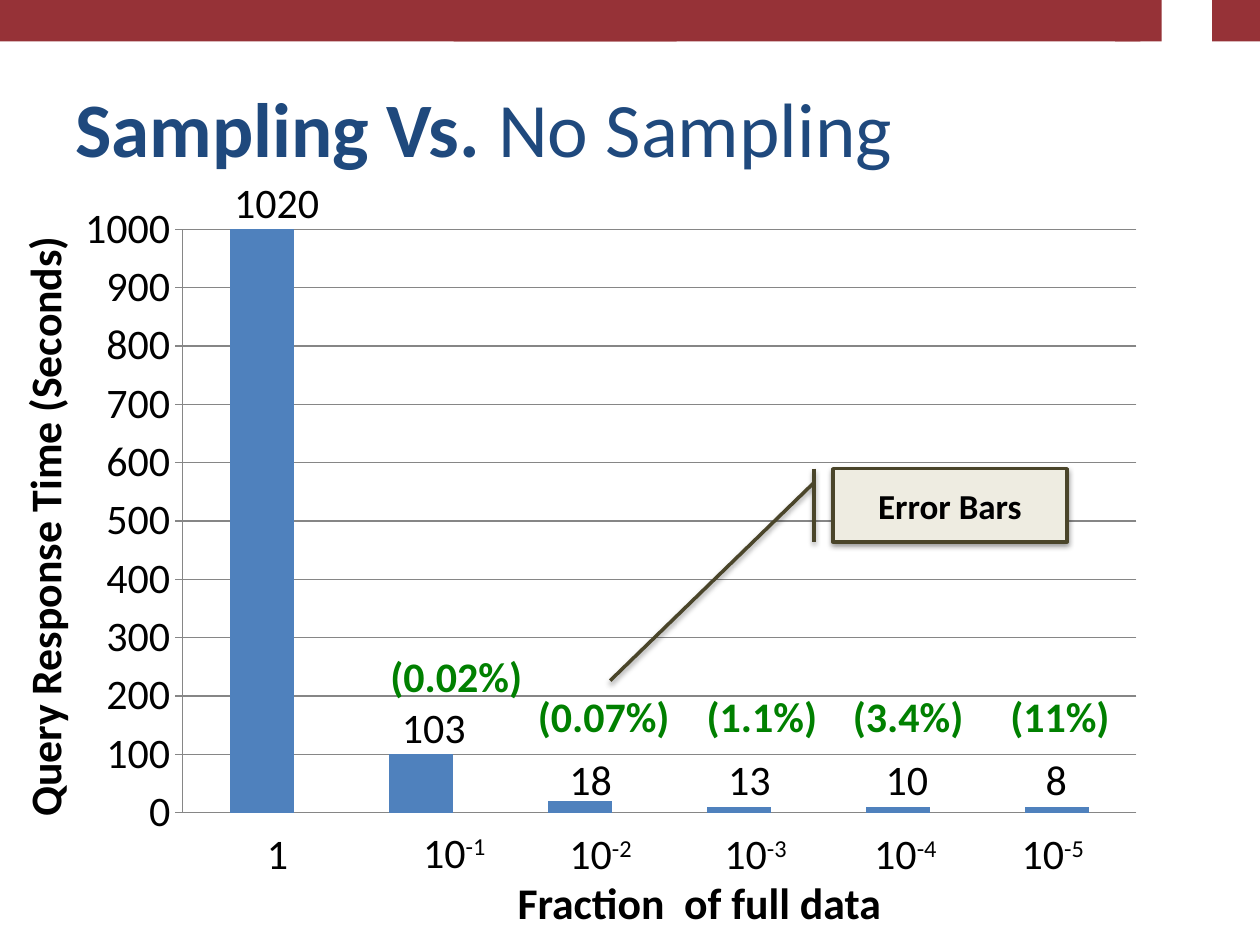
from lxml import etree
from pptx import Presentation
from pptx.chart.data import CategoryChartData
from pptx.dml.color import RGBColor
from pptx.enum.chart import XL_CHART_TYPE, XL_TICK_LABEL_POSITION, XL_TICK_MARK
from pptx.enum.shapes import MSO_SHAPE
from pptx.enum.text import MSO_ANCHOR, MSO_AUTO_SIZE, PP_ALIGN
from pptx.oxml import parse_xml
from pptx.oxml.ns import nsdecls, qn
from pptx.util import Pt

PX = 9144  # EMU per px, 100 px to the inch
FONT = "Calibri"

RED = RGBColor(0x96, 0x32, 0x37)
NAVY = RGBColor(0x1F, 0x49, 0x7D)
BLUE = RGBColor(0x4F, 0x81, 0xBD)
GREEN = RGBColor(0x00, 0x80, 0x00)
GREY = RGBColor(0x86, 0x86, 0x86)
OLIVE = RGBColor(0x4A, 0x45, 0x2A)
CREAM = RGBColor(0xEE, 0xEC, 0xE1)
BLACK = RGBColor(0x00, 0x00, 0x00)

COLUMN_STACKED = XL_CHART_TYPE.COLUMN_STACKED
TICK_OUTSIDE = XL_TICK_MARK.OUTSIDE
TICK_NONE = XL_TICK_MARK.NONE
NO_LABELS = XL_TICK_LABEL_POSITION.NONE
RECTANGLE = MSO_SHAPE.RECTANGLE
CALLOUT = MSO_SHAPE.LINE_CALLOUT_1_BORDER_AND_ACCENT_BAR
BOTTOM, MIDDLE, TOP = MSO_ANCHOR.BOTTOM, MSO_ANCHOR.MIDDLE, MSO_ANCHOR.TOP
LEFT, CENTER = PP_ALIGN.LEFT, PP_ALIGN.CENTER
FIT_TEXT = MSO_AUTO_SIZE.SHAPE_TO_FIT_TEXT

# Left and width of the pieces of the top band
BAND_PIECES = [(0, 537), (360, 545), (885, 37), (962, 38)]

RESPONSE_TIMES = [1020, 100, 20, 10, 10, 10]
CHART_BOX = (51, 152, 869, 525)
PLOT_BOX = (145, 182, 757, 463)

# Text, left, top, width of the labels around the columns
TIME_LABELS = [("1020", 176, 135, 88), ("103", 309, 552, 71),
               ("18", 442, 593, 54), ("13", 568, 593, 54),
               ("10", 693, 593, 54), ("8", 820, 593, 37)]
ERROR_LABELS = [("(0.02%)", 300, 511, 126), ("(0.07%)", 417, 543, 126),
                ("(1.1%)", 551, 543, 109), ("(3.4%)", 667, 543, 109),
                ("(11%)", 792, 543, 100)]
# Left and top of the powers of ten
FRACTION_LABELS = [(326, 651), (442, 652), (565, 652), (684, 652), (801, 652)]


def px(*lengths):
    return [length * PX for length in lengths]


def add_run(paragraph, text, size, color=BLACK, bold=False, superscript=False):
    run = paragraph.add_run()
    run.text = text
    run.font.name = FONT
    run.font.size = Pt(size)
    run.font.bold = bold
    run.font.color.rgb = color
    if superscript:
        run._r.get_or_add_rPr().set("baseline", "30000")


def add_text(slide, box, align=LEFT, anchor=TOP, wrap=False):
    """Add an empty text box and return it with its paragraph."""
    shape = slide.shapes.add_textbox(*px(*box))
    frame = shape.text_frame
    frame.word_wrap = wrap
    frame.vertical_anchor = anchor
    if anchor == TOP:
        frame.auto_size = FIT_TEXT
    paragraph = frame.paragraphs[0]
    paragraph.alignment = align
    return shape, paragraph


def add_label(slide, text, box, size=24, color=BLACK, bold=False, **layout):
    shape, paragraph = add_text(slide, box, **layout)
    add_run(paragraph, text, size, color, bold)
    return shape


def add_power_label(slide, exponent, box):
    paragraph = add_text(slide, box)[1]
    add_run(paragraph, "10", 24)
    add_run(paragraph, exponent, 24, superscript=True)


def add_block(slide, box, color):
    shape = slide.shapes.add_shape(RECTANGLE, *px(*box))
    shape.shadow.inherit = False
    shape.fill.solid()
    shape.fill.fore_color.rgb = color
    shape.line.fill.background()


def set_plot_layout(chart):
    """Place the inner plot area by its shares of the chart frame."""
    chart_left, chart_top, chart_width, chart_height = CHART_BOX
    left, top, width, height = PLOT_BOX
    settings = {"layoutTarget": "inner", "xMode": "edge", "yMode": "edge",
                "x": (left - chart_left) / chart_width,
                "y": (top - chart_top) / chart_height,
                "w": width / chart_width, "h": height / chart_height}
    plot_area = chart._chartSpace.chart.plotArea
    for old_layout in plot_area.findall(qn("c:layout")):
        plot_area.remove(old_layout)
    layout = etree.Element(qn("c:layout"))
    manual = etree.SubElement(layout, qn("c:manualLayout"))
    for name, value in settings.items():
        etree.SubElement(manual, qn(f"c:{name}")).set("val", str(value))
    plot_area.insert(0, layout)


def add_time_chart(slide):
    data = CategoryChartData()
    data.categories = [str(n) for n in range(1, len(RESPONSE_TIMES) + 1)]
    data.add_series("Series 1", RESPONSE_TIMES)
    chart = slide.shapes.add_chart(COLUMN_STACKED, *px(*CHART_BOX), data).chart
    chart.has_legend = False
    chart.has_title = False
    chart.font.name = FONT
    chart.font.size = Pt(10)
    chart.font.color.rgb = BLACK
    set_plot_layout(chart)

    # Columns
    plot = chart.plots[0]
    plot.gap_width = 150
    plot.overlap = 100
    plot.vary_by_categories = False
    fill = plot.series[0].format.fill
    fill.solid()
    fill.fore_color.rgb = BLUE

    # Axes
    category_axis = chart.category_axis
    category_axis.visible = False
    category_axis.tick_label_position = NO_LABELS
    category_axis.major_tick_mark = TICK_NONE
    value_axis = chart.value_axis
    value_axis.minimum_scale = 0
    value_axis.maximum_scale = 1000
    value_axis.major_unit = 100
    value_axis.major_tick_mark = TICK_OUTSIDE
    value_axis.has_major_gridlines = True
    value_axis.tick_labels.font.size = Pt(24)
    value_axis.tick_labels.font.name = FONT
    value_axis.tick_labels.font.color.rgb = BLACK
    for line in (value_axis.format.line, value_axis.major_gridlines.format.line):
        line.color.rgb = GREY
        line.width = Pt(0.75)


def add_callout(slide, text, box):
    shape = slide.shapes.add_shape(CALLOUT, *px(*box))
    for index, value in enumerate((0.19, -0.08, 2.9, -0.95)):
        shape.adjustments[index] = value
    shape.fill.solid()
    shape.fill.fore_color.rgb = CREAM
    shape.line.color.rgb = OLIVE
    shape.line.width = Pt(2)
    shape._element.spPr.append(parse_xml(
        f'<a:effectLst {nsdecls("a")}>'
        '<a:outerShdw blurRad="40000" dist="20000" dir="5400000" rotWithShape="0">'
        '<a:srgbClr val="000000"><a:alpha val="38000"/></a:srgbClr>'
        '</a:outerShdw></a:effectLst>'))
    shape.text_frame.vertical_anchor = MIDDLE
    paragraph = shape.text_frame.paragraphs[0]
    paragraph.alignment = CENTER
    add_run(paragraph, text, 20, bold=True)


def main():
    presentation = Presentation()
    presentation.slide_width, presentation.slide_height = px(1000, 750)
    slide = presentation.slides.add_slide(presentation.slide_layouts[6])

    # Top band, open at the emblem's place
    for left, width in BAND_PIECES:
        add_block(slide, (left, 0, width, 33), RED)

    # Title
    title = add_text(slide, (50, 17, 900, 125), anchor=BOTTOM, wrap=True)[1]
    add_run(title, "Sampling Vs. ", 44, NAVY, bold=True)
    add_run(title, "No Sampling", 44, NAVY)

    # Chart and axis captions
    add_time_chart(slide)
    add_label(slide, "1", (202, 652, 37, 50))
    for power, (left, top) in enumerate(FRACTION_LABELS, start=1):
        add_power_label(slide, f"-{power}", (left, top, 73, 50))
    add_label(slide, "Fraction  of full data", (357, 690, 396, 52), 25,
              bold=True, align=CENTER, wrap=True)
    caption = add_label(slide, "Query Response Time (Seconds)",
                        (-208, 389, 486, 52), 25, bold=True)
    caption.rotation = 270

    # Times and error bars over the columns
    for text, left, top, width in TIME_LABELS:
        add_label(slide, text, (left, top, width, 50))
    for text, left, top, width in ERROR_LABELS:
        add_label(slide, text, (left, top, width, 50), color=GREEN, bold=True)
    add_callout(slide, "Error Bars", (661, 372, 186, 58))

    presentation.save("out.pptx")


if __name__ == "__main__":
    main()
